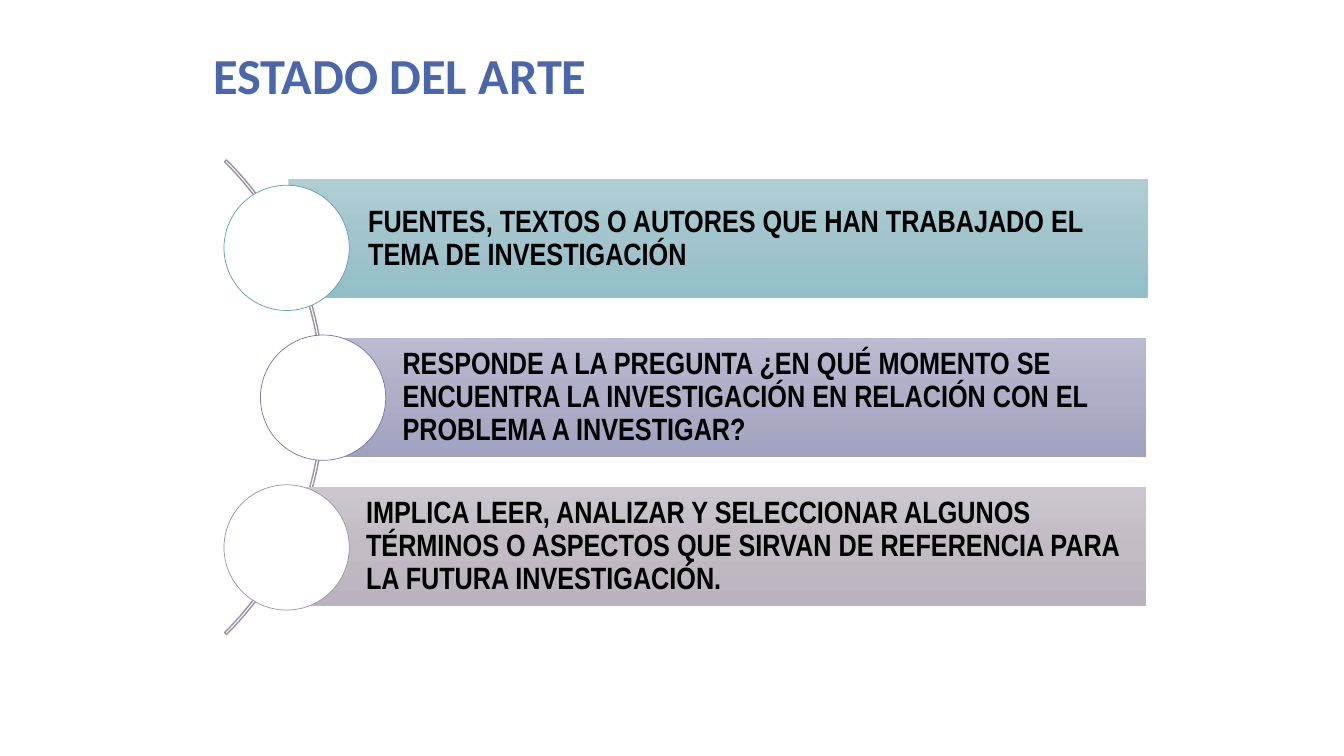
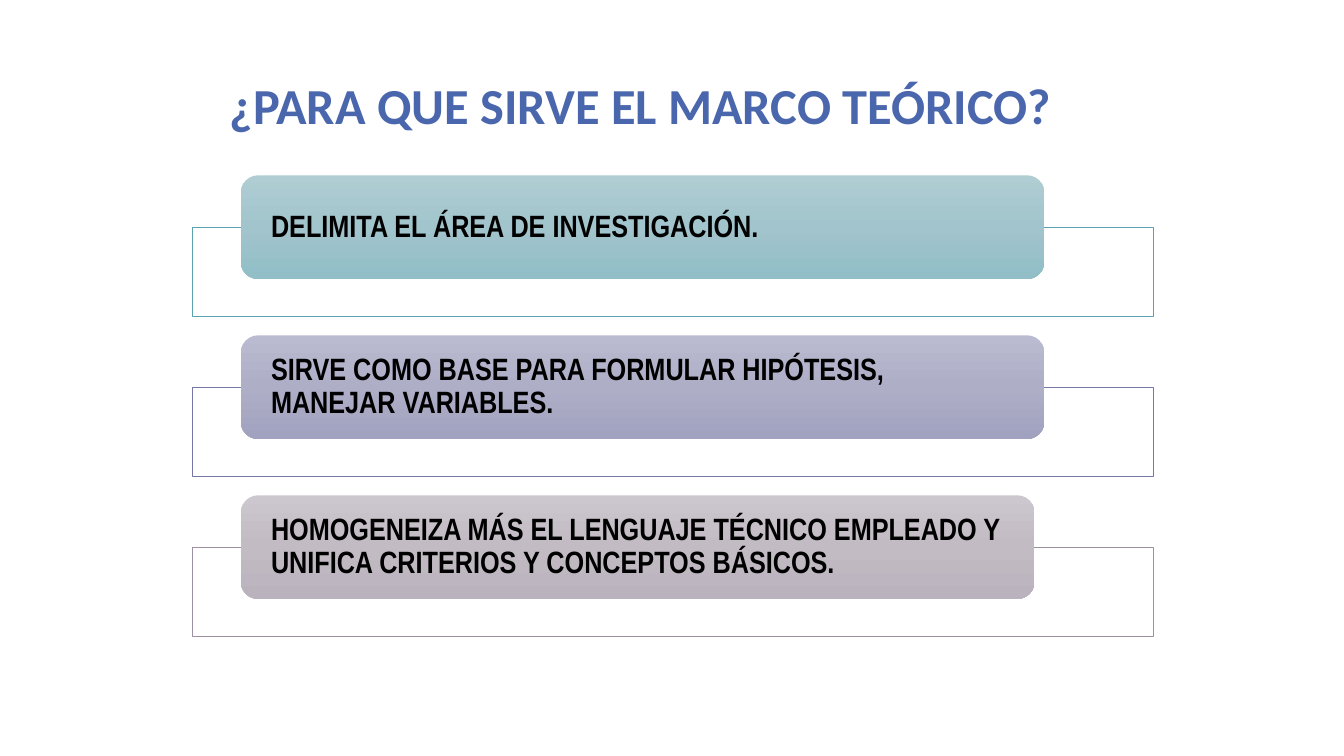
from copy import deepcopy

from pptx import Presentation
from pptx.dml import color
from pptx.enum import shapes, text
from pptx.util import Pt

SHAPE = shapes.MSO_SHAPE

# Each theme: outline colour and the three gradient colours, top to bottom
THEMES = [
    ("5AA2AE", ("AFCDD3", "A2C4CC", "91BEC7")),
    ("7677A6", ("BABAD0", "AEAEC7", "A1A2C0")),
    ("9D90A0", ("CCC6CE", "C2BBC4", "BAB2BC")),
]


def rgb(value):
    return color.RGBColor.from_string(value)


class Deck:
    TITLE_FONT, TITLE_SIZE, TITLE_COLOR = "Calibri", 36, "4A66AC"
    BODY_FONT, BODY_SIZE, BODY_COLOR = "Arial Narrow", 22, "000000"

    def __init__(self):
        self.presentation = Presentation()
        self.presentation.slide_width = Pt(960)
        self.presentation.slide_height = Pt(540)
        self.slide = None

    def new_slide(self):
        layout = self.presentation.slide_layouts[6]
        self.slide = self.presentation.slides.add_slide(layout)

    def add_wording(self, shape, wording, font, size, ink, spacing, anchor, insets):
        frame = shape.text_frame
        frame.word_wrap = True
        frame.vertical_anchor = anchor
        frame.margin_left, frame.margin_top, frame.margin_right, frame.margin_bottom = map(Pt, insets)
        paragraph = frame.paragraphs[0]
        paragraph.alignment = text.PP_ALIGN.LEFT
        paragraph.line_spacing = spacing
        run = paragraph.add_run()
        run.text = wording
        run.font.name = font
        run.font.size = Pt(size)
        run.font.bold = True
        run.font.color.rgb = rgb(ink)

    def title(self, wording, left, top, width, height):
        box = self.slide.shapes.add_textbox(Pt(left), Pt(top), Pt(width), Pt(height))
        self.add_wording(box, wording, self.TITLE_FONT, self.TITLE_SIZE, self.TITLE_COLOR,
                         0.8, text.MSO_ANCHOR.BOTTOM, (7.2, 3.6, 7.2, 3.6))

    def outline(self, kind, left, top, width, height, line, weight=0.5, fill="FFFFFF"):
        shape = self.slide.shapes.add_shape(kind, Pt(left), Pt(top), Pt(width), Pt(height))
        shape.shadow.inherit = False
        if fill:
            shape.fill.solid()
            shape.fill.fore_color.rgb = rgb(fill)
        else:
            shape.fill.background()
        shape.line.color.rgb = rgb(line)
        shape.line.width = Pt(weight)
        return shape

    def panel(self, kind, left, top, width, height, wording, colors, insets):
        shape = self.slide.shapes.add_shape(kind, Pt(left), Pt(top), Pt(width), Pt(height))
        shape.shadow.inherit = False
        shape.line.fill.background()
        self.gradient(shape, colors)
        self.add_wording(shape, wording, self.BODY_FONT, self.BODY_SIZE, self.BODY_COLOR,
                         0.9, text.MSO_ANCHOR.MIDDLE, insets)

    def gradient(self, shape, colors):
        shape.fill.gradient()
        shape.fill.gradient_angle = 270
        # A new gradient has two stops; add the middle one
        stop_list = shape.element.xpath("./p:spPr/a:gradFill/a:gsLst")[0]
        stop_list.insert(1, deepcopy(stop_list[0]))
        for index, (stop, value) in enumerate(zip(shape.fill.gradient_stops, colors)):
            stop.position = index / 2
            stop.color.rgb = rgb(value)


def state_of_the_art(deck):
    deck.new_slide()
    deck.title("ESTADO DEL ARTE", 145.5, 28, 648, 49.7)

    # Arc behind the circles
    arc = deck.outline(SHAPE.BLOCK_ARC, -247.5, 44, 479.5, 479.5, "9D90A0", 1, None)
    for index, value in enumerate((189, 27, 0.004)):
        arc.adjustments[index] = value

    # Bars: left, top, width, circle left, wording
    bars = [
        (206, 128.2, 614, 160,
         "FUENTES, TEXTOS O AUTORES QUE HAN TRABAJADO EL TEMA DE INVESTIGACIÓN"),
        (230.5, 241.4, 588, 186,
         "RESPONDE A LA PREGUNTA ¿EN QUÉ MOMENTO SE ENCUENTRA LA INVESTIGACIÓN "
         "EN RELACIÓN CON EL PROBLEMA A INVESTIGAR?"),
        (204.5, 347.8, 614, 160,
         "IMPLICA LEER, ANALIZAR Y SELECCIONAR ALGUNOS TÉRMINOS O ASPECTOS QUE "
         "SIRVAN DE REFERENCIA PARA LA FUTURA INVESTIGACIÓN."),
    ]
    for index, (left, top, width, circle_left, wording) in enumerate(bars):
        line, colors = THEMES[index]
        deck.panel(SHAPE.RECTANGLE, left, top, width, 85, wording, colors, (57, 4.5, 4.5, 4.5))
        deck.outline(SHAPE.OVAL, circle_left, 132.3 + 107 * index, 89.5, 89.5, line)


def purpose_of_framework(deck):
    deck.new_slide()
    deck.title("¿PARA QUE SIRVE EL MARCO TEÓRICO?", 157, 9.4, 648, 90)

    # Outlined frames, each with a rounded label on top
    labels = [
        (574, "DELIMITA EL ÁREA DE INVESTIGACIÓN."),
        (574, "SIRVE COMO BASE PARA FORMULAR HIPÓTESIS, MANEJAR VARIABLES."),
        (567, "HOMOGENEIZA MÁS EL LENGUAJE TÉCNICO EMPLEADO Y UNIFICA CRITERIOS "
              "Y CONCEPTOS BÁSICOS."),
    ]
    for index, (width, wording) in enumerate(labels):
        line, colors = THEMES[index]
        top = 125.2 + 114.3 * index
        deck.outline(SHAPE.RECTANGLE, 137.5, top + 37, 686.5, 63.5, line)
        deck.panel(SHAPE.ROUNDED_RECTANGLE, 172, top, width, 74, wording, colors, (18, 0, 18, 0))


def main():
    deck = Deck()
    state_of_the_art(deck)
    purpose_of_framework(deck)
    deck.presentation.save("out.pptx")


if __name__ == "__main__":
    main()
